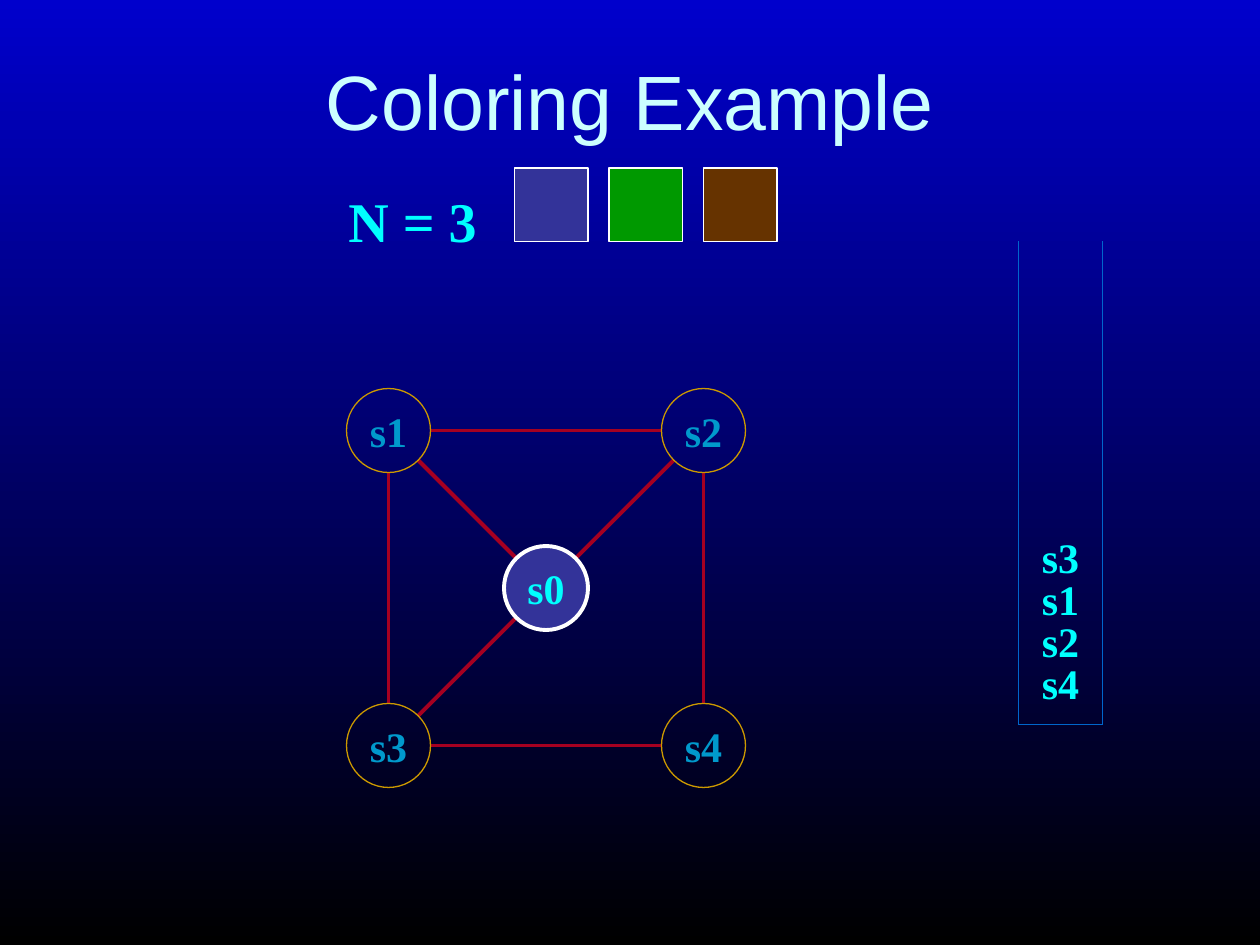
import math
from typing import NamedTuple

import lxml.etree
import pptx
import pptx.dml.color
import pptx.enum.shapes
import pptx.enum.text
import pptx.oxml.ns
import pptx.util

COLUMNS, ROWS = 120, 90
NODE_SIZE, LABEL_INSET = 8, 1
LABEL_SIZE = NODE_SIZE - 2 * LABEL_INSET
SWATCH_SIZE, SWATCH_STEP = 7, 9
STACK_LEFT, STACK_RIGHT, STACK_TOP, STACK_BOTTOM = 97, 105, 23, 69
CYAN, DIM_CYAN, WHITE = "00FFFF", "0099CC", "FFFFFF"
REGISTER_COLORS = ["333399", "009900", "663300"]


class Box(NamedTuple):
    column: float
    row: float
    width: float
    height: float


class Node(NamedTuple):
    name: str
    column: float
    row: float
    text_color: str = DIM_CYAN
    outline: str = "CC9900"
    outline_width: float = 0.75
    fill: str | None = None

    def center(self) -> tuple[float, float]:
        return self.column + NODE_SIZE / 2, self.row + NODE_SIZE / 2


NODES = {
    node.name: node
    for node in [
        Node("s1", 33, 37),
        Node("s2", 63, 37),
        Node("s3", 33, 67),
        Node("s4", 63, 67),
        Node("s0", 48, 52, CYAN, WHITE, 2.25, REGISTER_COLORS[0]),
    ]
}
EDGES = [("s1", "s2"), ("s0", "s2"), ("s1", "s0"), ("s1", "s3"),
         ("s3", "s4"), ("s2", "s4"), ("s3", "s0")]

deck = pptx.Presentation()
deck.slide_width = pptx.util.Inches(10)
deck.slide_height = pptx.util.Inches(7.5)
slide = deck.slides.add_slide(deck.slide_layouts[5])


def rgb(value: str) -> pptx.dml.color.RGBColor:
    return pptx.dml.color.RGBColor.from_string(value)


def across(columns: float) -> int:
    return round(deck.slide_width * columns / COLUMNS)


def down(rows: float) -> int:
    return round(deck.slide_height * rows / ROWS)


def place(box: Box) -> tuple[int, int, int, int]:
    return across(box.column), down(box.row), across(box.width), down(box.height)


def apply(target, values: dict) -> None:
    for name, value in values.items():
        setattr(target, name, value)


def write(frame, text: str, size: float, color: str, font: str, bold: bool) -> None:
    frame.vertical_anchor = pptx.enum.text.MSO_ANCHOR.MIDDLE
    paragraph = frame.paragraphs[0]
    paragraph.alignment = pptx.enum.text.PP_ALIGN.CENTER
    run = paragraph.add_run()
    run.text = text
    apply(run.font, {"name": font, "size": pptx.util.Pt(size), "bold": bold})
    run.font.color.rgb = rgb(color)


def draw_label(text: str, box: Box, color: str = CYAN, size: float = 24) -> None:
    frame = slide.shapes.add_textbox(*place(box)).text_frame
    apply(frame, {"word_wrap": False,
                  "auto_size": pptx.enum.text.MSO_AUTO_SIZE.SHAPE_TO_FIT_TEXT})
    write(frame, text, size, color, "Times New Roman", True)


def draw_shape(kind, box: Box, fill: str | None, outline: str, width: float) -> None:
    shape = slide.shapes.add_shape(kind, *place(box))
    shape.shadow.inherit = False
    if fill is None:
        shape.fill.background()
    else:
        shape.fill.solid()
        shape.fill.fore_color.rgb = rgb(fill)
    shape.line.color.rgb = rgb(outline)
    shape.line.width = pptx.util.Pt(width)


def draw_line(start: tuple[float, float], end: tuple[float, float],
              color: str, width: float) -> None:
    line = slide.shapes.add_connector(
        pptx.enum.shapes.MSO_CONNECTOR.STRAIGHT,
        across(start[0]), down(start[1]), across(end[0]), down(end[1]))
    line.line.color.rgb = rgb(color)
    line.line.width = pptx.util.Pt(width)
    lxml.etree.SubElement(line._element.spPr, pptx.oxml.ns.qn("a:effectLst"))


def draw_node(node: Node) -> None:
    draw_shape(pptx.enum.shapes.MSO_SHAPE.OVAL,
               Box(node.column, node.row, NODE_SIZE, NODE_SIZE),
               node.fill, node.outline, node.outline_width)
    draw_label(node.name, Box(node.column + LABEL_INSET, node.row + LABEL_INSET,
                              LABEL_SIZE, LABEL_SIZE), node.text_color)


def draw_edge(first: Node, second: Node) -> None:
    (x1, y1), (x2, y2) = first.center(), second.center()
    angle = math.atan2(y2 - y1, x2 - x1)
    dx, dy = (NODE_SIZE / 2 * part for part in (math.cos(angle), math.sin(angle)))
    draw_line((x1 + dx, y1 + dy), (x2 - dx, y2 - dy), "A50021", 2.25)


def main() -> None:
    backdrop = slide.background.fill
    backdrop.gradient()
    backdrop.gradient_angle = 270
    for stop, color, position in zip(backdrop.gradient_stops, ("0000CC", "000000"), (0, 1)):
        stop.color.rgb = rgb(color)
        stop.position = position

    title = slide.shapes.title
    apply(title, dict(zip(("left", "top", "width", "height"), place(Box(5, 2, 110, 15)))))
    write(title.text_frame, "Coloring Example", 44, "CCFFFF", "Arial", False)

    stack_outline = [(STACK_LEFT, STACK_TOP), (STACK_LEFT, STACK_BOTTOM),
                     (STACK_RIGHT, STACK_BOTTOM), (STACK_RIGHT, STACK_TOP)]
    for start, end in zip(stack_outline, stack_outline[1:]):
        draw_line(start, end, "0066CC", 0.75)
    for level, name in enumerate(["s3", "s1", "s2", "s4"]):
        draw_label(name, Box(STACK_LEFT + LABEL_INSET, 50 + 4 * level, LABEL_SIZE, LABEL_SIZE))

    for first, second in EDGES:
        draw_edge(NODES[first], NODES[second])
    for node in NODES.values():
        draw_node(node)

    draw_label("N = 3", Box(32, 17.2, 14.6, 7.5), size=32)
    for index, color in enumerate(REGISTER_COLORS):
        draw_shape(pptx.enum.shapes.MSO_SHAPE.RECTANGLE,
                   Box(49 + SWATCH_STEP * index, 16, SWATCH_SIZE, SWATCH_SIZE),
                   color, WHITE, 0.75)

    deck.save("out.pptx")


if __name__ == "__main__":
    main()
